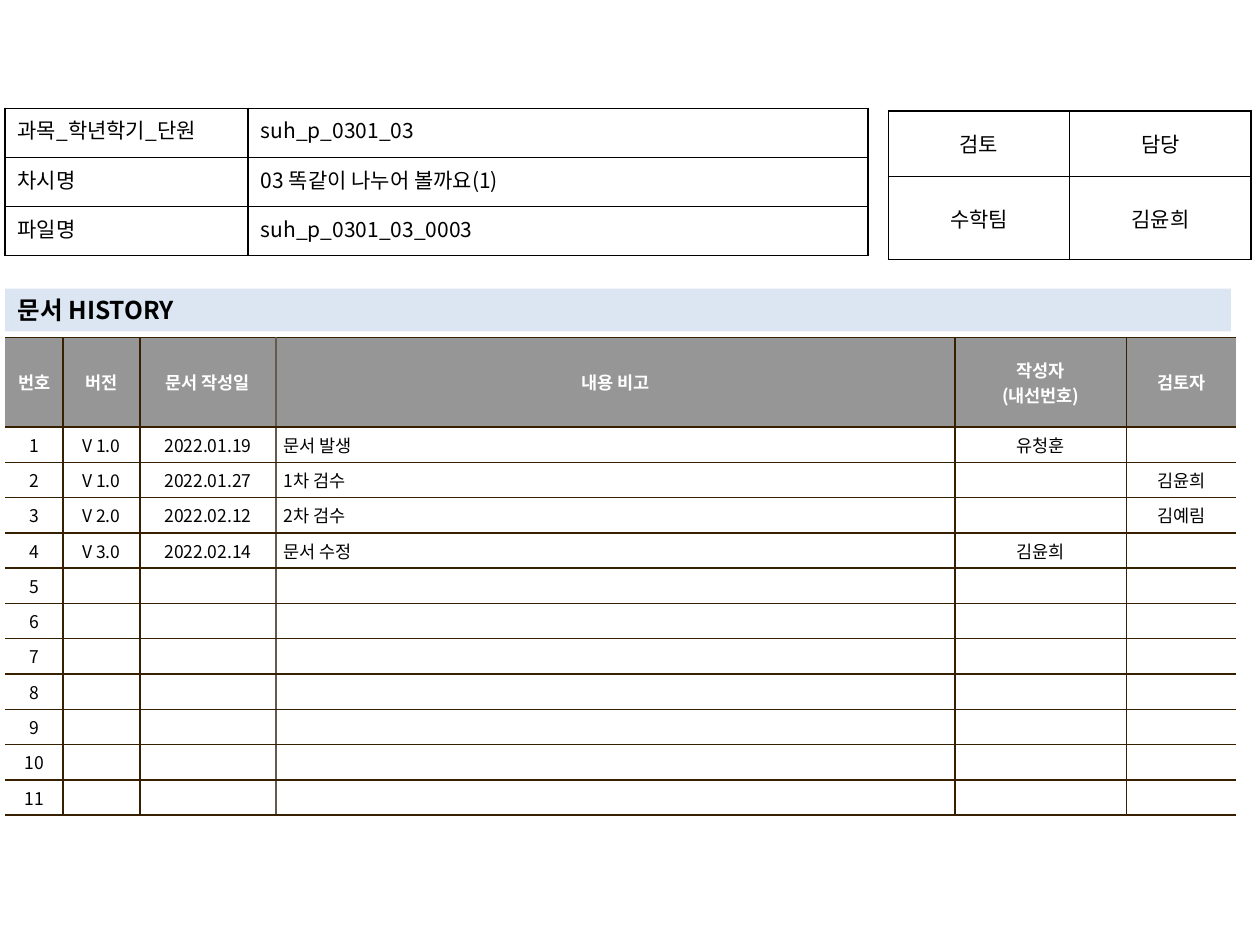
"""Build the document history slide with its info, approval and history tables."""
from lxml import etree
from pptx import Presentation, util as u
from pptx.dml.color import RGBColor
from pptx.enum import text as t
from pptx.oxml import ns

FONT = "Noto Sans CJK KR"
HUES = {"ink": "000000", "white": "FFFFFF", "head": "969696",
        "band": "DCE6F2", "rule": "362000", "soft": "645B4C"}
LEFT, MID, JUST = t.PP_ALIGN.LEFT, t.PP_ALIGN.CENTER, t.PP_ALIGN.JUSTIFY

INFO = [("과목_학년학기_단원", "suh_p_0301_03"),
        ("차시명", "03 똑같이 나누어 볼까요(1)"),
        ("파일명", "suh_p_0301_03_0003")]
SIGN = [("검토", "담당"), ("수학팀", "김윤희")]
HEAD = ("번호", "버전", "문서 작성일", "내용 비고", "작성자\n(내선번호)", "검토자")
LOG = [("V 1.0", "2022.01.19", "문서 발생", "유청훈", ""),
       ("V 1.0", "2022.01.27", "1차 검수", "", "김윤희"),
       ("V 2.0", "2022.02.12", "2차 검수", "", "김예림"),
       ("V 3.0", "2022.02.14", "문서 수정", "김윤희", "")]
COUNT = 11


def hue(name):
    return RGBColor.from_string(HUES[name])


def style(frame, size, color, align, bold=False):
    for para in frame.paragraphs:
        para.alignment = align
        if not para.runs:
            end = etree.SubElement(para._p, ns.qn("a:endParaRPr"))
            end.set("sz", str(size * 100))
        for run in para.runs:
            font = run.font
            font.name, font.size, font.bold = FONT, u.Pt(size), bold
            font.color.rgb = hue(color)
            east = etree.SubElement(run._r.get_or_add_rPr(), ns.qn("a:ea"))
            east.set("typeface", FONT)


def edge(cell, sides):
    props = cell._tc.get_or_add_tcPr()
    for spot, (side, color) in enumerate(sides.items()):
        line = etree.Element(ns.qn("a:ln" + side), w=str(u.Pt(1)))
        if color:
            fill = etree.SubElement(line, ns.qn("a:solidFill"))
            etree.SubElement(fill, ns.qn("a:srgbClr"), val=HUES[color])
        else:
            etree.SubElement(line, ns.qn("a:noFill"))
        props.insert(spot, line)


def grid(slide, rows, spot, wide, high):
    size = [u.Inches(n) for n in (*spot, sum(wide), sum(high))]
    table = slide.shapes.add_table(len(rows), len(wide), *size).table
    table.first_row = table.horz_banding = False
    for part, span in [*zip(table.columns, wide)]:
        part.width = u.Inches(span)
    for part, span in [*zip(table.rows, high)]:
        part.height = u.Inches(span)
    for r, row in enumerate(rows):
        for c, words in enumerate(row):
            cell = table.cell(r, c)
            cell.text_frame.text = words
            yield r, c, cell


def plain(slide, rows, spot, wide, high, aligns, anchor):
    for r, c, cell in grid(slide, rows, spot, wide, high):
        cell.fill.background()
        cell.vertical_anchor = anchor
        style(cell.text_frame, 12, "ink", aligns[c])
        edge(cell, dict.fromkeys("LRTB", "ink"))


def history(slide, spot):
    wide = [0.46, 0.61, 1.08, 5.39, 1.36, 0.87]
    high = [0.71] + [0.28] * COUNT
    logs = LOG + [("",) * 5] * (COUNT - len(LOG))
    rows = [HEAD] + [(str(n), *log) for n, log in enumerate(logs, 1)]
    walls = [None, "rule", "rule", "soft", "rule", "rule", None]
    for r, c, cell in grid(slide, rows, spot, wide, high):
        top = r == 0
        cell.fill.solid()
        cell.fill.fore_color.rgb = hue("head" if top else "white")
        cell.vertical_anchor = t.MSO_ANCHOR.MIDDLE
        cell.margin_left = cell.margin_right = u.Inches(0.06)
        cell.margin_top = cell.margin_bottom = u.Inches(0.04)
        align = LEFT if c == 3 and not top else MID
        style(cell.text_frame, 10, "white" if top else "ink", align, top)
        edge(cell, {"L": walls[c], "R": walls[c + 1], "T": "rule", "B": "rule"})


def banner(title, words):
    title.left, title.top, title.width, title.height = (
        u.Inches(n) for n in (0.04, 2.29, 9.73, 0.34))
    title.fill.solid()
    title.fill.fore_color.rgb = hue("band")
    frame = title.text_frame
    frame.text = words
    frame.auto_size = t.MSO_AUTO_SIZE.NONE
    frame.vertical_anchor = t.MSO_ANCHOR.MIDDLE
    style(frame, 14, "ink", LEFT, True)


def main():
    deck = Presentation()
    deck.slide_width, deck.slide_height = u.Inches(10), u.Inches(7.5)
    slide = deck.slides.add_slide(deck.slide_layouts[5])
    banner(slide.shapes.title, "문서 HISTORY")
    history(slide, (0.04, 2.68))
    plain(slide, SIGN, (7.05, 0.88), [1.44] * 2, [0.52, 0.66],
          (MID, MID), t.MSO_ANCHOR.MIDDLE)
    plain(slide, INFO, (0.04, 0.86), [1.93, 4.92], [0.39] * 3,
          (JUST, LEFT), t.MSO_ANCHOR.TOP)
    deck.save("out.pptx")


if __name__ == "__main__":
    main()
